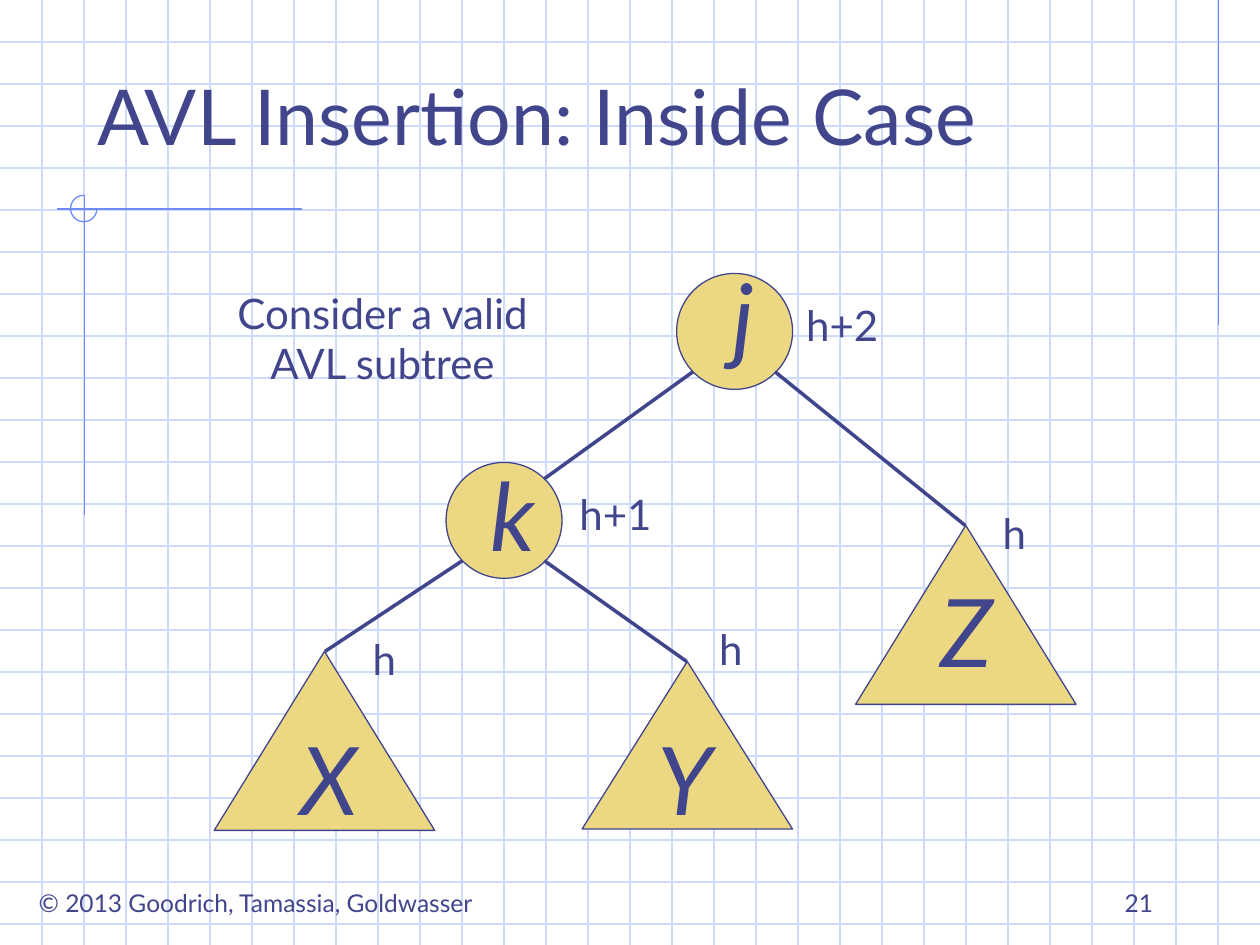
from lxml import etree
from pptx import Presentation
from pptx.dml.color import RGBColor
from pptx.enum.shapes import MSO_CONNECTOR, MSO_SHAPE
from pptx.enum.text import MSO_ANCHOR, MSO_AUTO_SIZE, PP_ALIGN
from pptx.oxml.ns import qn
from pptx.util import Inches, Pt

STRAIGHT = MSO_CONNECTOR.STRAIGHT
OVAL, TRIANGLE, ARC = MSO_SHAPE.OVAL, MSO_SHAPE.ISOSCELES_TRIANGLE, MSO_SHAPE.ARC
LEFT, CENTER, RIGHT = PP_ALIGN.LEFT, PP_ALIGN.CENTER, PP_ALIGN.RIGHT
TOP, BOTTOM = MSO_ANCHOR.TOP, MSO_ANCHOR.BOTTOM
NO_AUTOFIT = MSO_AUTO_SIZE.NONE

FONT = "Lato"
COLORS = {"ink": "40458C", "node": "ECD882", "grid": "CFDBFD", "accent": "6F89F7"}
WIDTH, HEIGHT = 10, 7.5
NODE_SIZE = 0.92

# Circles: label, left, top, label left, label top
NODES = [("j", 5.37, 2.17, 5.62, 2), ("k", 3.54, 3.67, 3.79, 3.58)]
# Triangles: label, left, top, width, height, label left, label top
SUBTREES = [
    ("X", 1.7, 5.17, 1.75, 1.42, 2.29, 5.67),
    ("Y", 4.62, 5.25, 1.67, 1.33, 5.12, 5.67),
    ("Z", 6.79, 4.17, 1.75, 1.42, 7.37, 4.5),
]
EDGES = [
    (5.5, 2.95, 4.32, 3.8),
    (6.15, 2.95, 7.66, 4.17),
    (3.67, 4.45, 2.58, 5.17),
    (4.32, 4.45, 5.45, 5.25),
]
# Heights: text, left, top, width
HEIGHTS = [
    ("h", 7.85, 3.98, 0.4),
    ("h", 5.6, 4.9, 0.4),
    ("h", 2.85, 4.98, 0.4),
    ("h+1", 4.45, 3.83, 0.87),
    ("h+2", 6.25, 2.33, 0.87),
]
ACCENT_LINES = [
    (9.67, 0, 9.67, 2.58),
    (2.4, 1.66, 0.45, 1.66),
    (0.67, 1.55, 0.67, 4.09),
]


def rgb(name):
    return RGBColor.from_string(COLORS[name])


def add_line(shapes, ends, color, width=0.75):
    connector = shapes.add_connector(STRAIGHT, *map(Inches, ends))
    connector.line.color.rgb = rgb(color)
    connector.line.width = Pt(width)
    etree.SubElement(connector.element.spPr, qn("a:effectLst"))


def add_outlined(shapes, kind, box, line_color, fill=None):
    shape = shapes.add_shape(kind, *map(Inches, box))
    shape.shadow.inherit = False
    if fill:
        shape.fill.solid()
        shape.fill.fore_color.rgb = rgb(fill)
    else:
        shape.fill.background()
    shape.line.color.rgb = rgb(line_color)
    shape.line.width = Pt(0.75)
    return shape


def write_text(shape, text, size, align=CENTER, anchor=TOP, italic=False, wrap=True):
    frame = shape.text_frame
    frame_format = {"auto_size": NO_AUTOFIT, "word_wrap": wrap, "vertical_anchor": anchor}
    for name, value in frame_format.items():
        setattr(frame, name, value)
    frame.text = text
    font_format = {"name": FONT, "size": Pt(size), "italic": italic}
    for paragraph in frame.paragraphs:
        paragraph.alignment = align
        for name, value in font_format.items():
            setattr(paragraph.font, name, value)
        paragraph.font.color.rgb = rgb("ink")


def add_text(shapes, box, text, size, **options):
    write_text(shapes.add_textbox(*map(Inches, box)), text, size, **options)


def add_letter(shapes, letter, left, top):
    add_text(shapes, (left, top, 0.56, 1), letter, 54, italic=True)


def add_background(slide):
    shapes = slide.shapes.add_group_shape().shapes
    # Graph paper, three squares to the inch
    for row in range(1, 23):
        add_line(shapes, (0, row / 3, WIDTH, row / 3), "grid")
    for column in range(1, 30):
        add_line(shapes, (column / 3, 0, column / 3, HEIGHT), "grid")
    # Accent lines and the three-quarter circle at their crossing
    for ends in ACCENT_LINES:
        add_line(shapes, ends, "accent")
    arc = add_outlined(shapes, ARC, (0.56, 1.55, 0.21, 0.21), "accent")
    arc.adjustments[0] = 0
    arc.adjustments[1] = 162


def add_title(slide, text):
    title = slide.shapes.title
    box = {"left": 0.67, "top": 0.25, "width": 8.92, "height": 1.08}
    for name, value in box.items():
        setattr(title, name, Inches(value))
    write_text(title, text, 44, align=LEFT, anchor=BOTTOM)
    # Bring the title in front of the graph paper
    title.element.getparent().append(title.element)


def add_tree(shapes):
    for letter, left, top, *letter_place in NODES:
        add_outlined(shapes, OVAL, (left, top, NODE_SIZE, NODE_SIZE), "ink", "node")
        add_letter(shapes, letter, *letter_place)
    for letter, left, top, width, height, *letter_place in SUBTREES:
        add_outlined(shapes, TRIANGLE, (left, top, width, height), "ink", "node")
        add_letter(shapes, letter, *letter_place)
    for ends in EDGES:
        add_line(shapes, ends, "ink", 2)
    for text, left, top, width in HEIGHTS:
        add_text(shapes, (left, top, width, 0.5), text, 24, wrap=False)


def main():
    presentation = Presentation()
    presentation.slide_width = Inches(WIDTH)
    presentation.slide_height = Inches(HEIGHT)
    slide = presentation.slides.add_slide(presentation.slide_layouts[5])
    shapes = slide.shapes

    add_background(slide)
    # Footer and slide number
    add_text(shapes, (0.09, 7, 3.88, 0.34), "© 2013 Goodrich, Tamassia, Goldwasser", 14, wrap=False)
    add_text(shapes, (7.17, 6.83, 2.08, 0.5), "21", 14, align=RIGHT, anchor=BOTTOM)
    add_title(slide, "AVL Insertion: Inside Case")
    add_tree(shapes)
    # Comment beside the tree
    add_text(shapes, (1.69, 2.23, 2.69, 0.9), "Consider a valid\nAVL subtree", 24, wrap=False)

    presentation.save("out.pptx")


if __name__ == "__main__":
    main()
